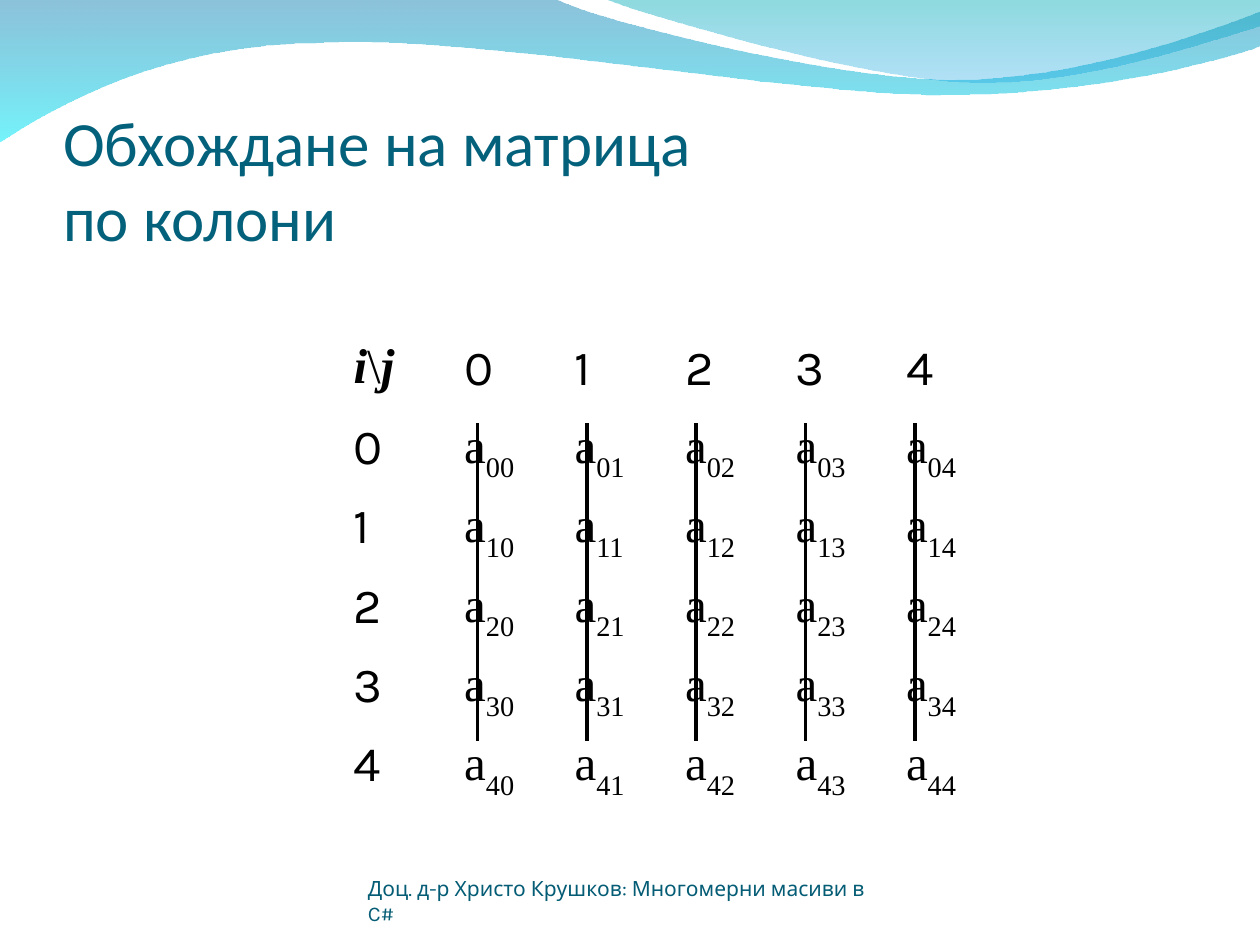
from lxml import etree
from pptx import Presentation, util as u
from pptx.dml import color
from pptx.enum import lang, shapes, text
from pptx.oxml import ns

COLORS = {"title": "04617B", "footer": "045C75", "ink": "000000",
          "deep": "0079AF", "cyan": "00EBF8", "teal": "00ADB6", "sky": "009BE5"}
SIZE = 5
TABLE_W = 6.14
ROW_H = 0.63
SERIF = {"name": "Times New Roman", "size": u.Pt(28)}
SANS = {"name": "Karla", "size": u.Pt(28)}
JUSTIFIED = {"alignment": text.PP_ALIGN.JUSTIFY}
SPACED = {"space_before": u.Pt(7)}

WIDE_WAVE = [(0, -0.01), (4.4, -0.01),
             (4.76, 0.17, 6.64, 0.63, 7.58, 0.63),
             (8.53, 0.63, 9.58, 0.26, 10, 0.09), (10.01, 0.36),
             (9.83, 0.44, 8.7, 0.76, 7.46, 0.75),
             (6.22, 0.75, 3.82, 0.28, 2.57, 0.34),
             (1.29, 0.35, 0.46, 0.83, -0.01, 1.13)]
RIGHT_WAVE = [(4.79, -0.01),
              (5.09, 0.11, 6.82, 0.62, 7.69, 0.65),
              (8.56, 0.69, 9.61, 0.32, 10, 0.21), (10, 0)]


def rgb(name):
    return color.RGBColor.from_string(COLORS[name])


def apply(target, values):
    for name, value in values.items():
        setattr(target, name, value)


def add_run(p, content, font, ink="ink", baseline=0):
    r = p.add_run()
    r.text = content
    apply(r.font, font)
    r.font.language_id = lang.MSO_LANGUAGE_ID.BULGARIAN
    r.font.color.rgb = rgb(ink)
    if baseline:
        r.font._element.set("baseline", str(baseline * 1000))


def bend(sp, segments):
    lines = list(sp.element.iter(ns.qn("a:lnTo")))
    for seg in segments[1:]:
        count = len(seg) // 2
        group, lines = lines[:count], lines[count:]
        if count == 3:
            curve = etree.Element(ns.qn("a:cubicBezTo"))
            group[0].addprevious(curve)
            for line in group:
                curve.append(line[0])
                line.getparent().remove(line)


def add_wave(s, segments, stops):
    points = [(u.Inches(seg[k]), u.Inches(seg[k + 1]))
              for seg in segments for k in range(0, len(seg), 2)]
    builder = s.shapes.build_freeform(*points[0])
    builder.add_line_segments(points[1:], close=True)
    sp = builder.convert_to_shape()
    bend(sp, segments)
    sp.shadow.inherit = False
    sp.line.fill.background()
    sp.fill.gradient()
    sp.fill.gradient_angle = 270
    for stop, (name, _) in zip(sp.fill.gradient_stops, stops):
        stop.color.rgb = rgb(name)
    clrs = sp.element.spPr.iter(ns.qn("a:srgbClr"))
    for clr, (_, opacity) in zip(clrs, stops):
        etree.SubElement(clr, ns.qn("a:alpha"), val=str(opacity * 1000))


def add_index(cell, number):
    p = cell.text_frame.paragraphs[0]
    apply(p, SPACED)
    add_run(p, str(number), SANS)


def add_matrix(s):
    rows, cols = SIZE + 4, SIZE + 2
    table = s.shapes.add_table(rows, cols, u.Inches(1.83), u.Inches(2.02),
                               u.Inches(TABLE_W), u.Inches(4.97)).table
    apply(table, {"first_row": False, "horz_banding": False})
    for col in table.columns:
        col.width = u.Inches(TABLE_W / cols)
    for row in table.rows:
        row.height = u.Inches(ROW_H)
    table.rows[rows - 1].height = u.Inches(0.48)
    for cell in table.iter_cells():
        cell.fill.background()

    p = table.cell(1, 1).text_frame.paragraphs[0]
    apply(p, JUSTIFIED)
    for char, strong in (("i", True), ("\\", False), ("j", True)):
        add_run(p, char, {**SERIF, "bold": strong, "italic": strong})
    for i in range(SIZE):
        add_index(table.cell(1, i + 2), i)
        add_index(table.cell(i + 2, 1), i)
        for j in range(SIZE):
            p = table.cell(i + 2, j + 2).text_frame.paragraphs[0]
            apply(p, JUSTIFIED)
            add_run(p, "а", SERIF)
            add_run(p, f"{i}{j}", SERIF, baseline=-30)


def format_text(sp, box, insets, lines, font, ink):
    apply(sp, dict(zip(("left", "top", "width", "height"), map(u.Inches, box))))
    tf = sp.text_frame
    apply(tf, {"word_wrap": True, "auto_size": text.MSO_AUTO_SIZE.NONE,
               "vertical_anchor": text.MSO_ANCHOR.BOTTOM})
    names = ("margin_left", "margin_top", "margin_right", "margin_bottom")
    apply(tf, dict(zip(names, map(u.Inches, insets))))
    p = tf.paragraphs[0]
    p.alignment = text.PP_ALIGN.LEFT
    for k, line in enumerate(lines):
        if k:
            p.add_line_break()
        add_run(p, line, font, ink)


def add_title(s):
    title = s.shapes.title
    title.element.getparent().append(title.element)
    format_text(title, (0.5, 0.77, 9, 1.25), (0, 0.05, 0, 0),
                ("Обхождане на матрица ", "по колони"),
                {"name": "Calibri", "size": u.Pt(36)}, "title")


def add_footer(s):
    format_text(s.shapes.add_textbox(0, 0, 0, 0), (2.92, 6.95, 4.19, 0.4), (0, 0, 0, 0),
                ("Доц. д-р Христо Крушков: Многомерни масиви в C#",),
                {"name": "Karla", "size": u.Pt(12)}, "footer")


def add_column_line(s, x):
    line = s.shapes.add_connector(shapes.MSO_CONNECTOR.STRAIGHT, u.Inches(x),
                                  u.Inches(3.36), u.Inches(x), u.Inches(5.88))
    line.line.color.rgb = rgb("ink")
    line.line.width = u.Pt(2)
    etree.SubElement(line.element.spPr, ns.qn("a:effectLst"))


def main():
    prs = Presentation()
    apply(prs, {"slide_width": u.Inches(10), "slide_height": u.Inches(7.5)})
    s = prs.slides.add_slide(prs.slide_layouts[5])
    add_wave(s, WIDE_WAVE, (("deep", 45), ("cyan", 55)))
    add_wave(s, RIGHT_WAVE, (("teal", 45), ("sky", 30)))
    add_matrix(s)
    add_title(s)
    add_footer(s)
    first, last = 3.79, 7.26
    for j in range(SIZE):
        add_column_line(s, first + j * (last - first) / (SIZE - 1))
    prs.save("out.pptx")


if __name__ == "__main__":
    main()
